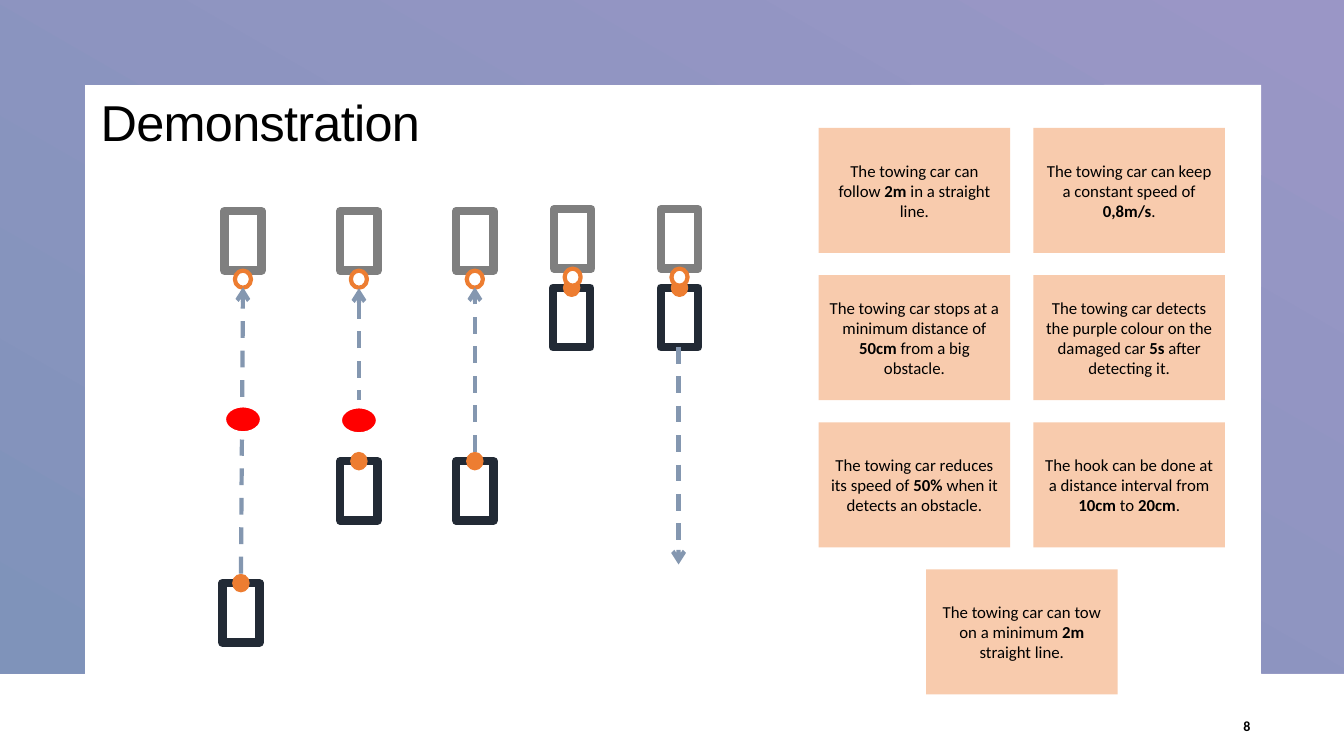
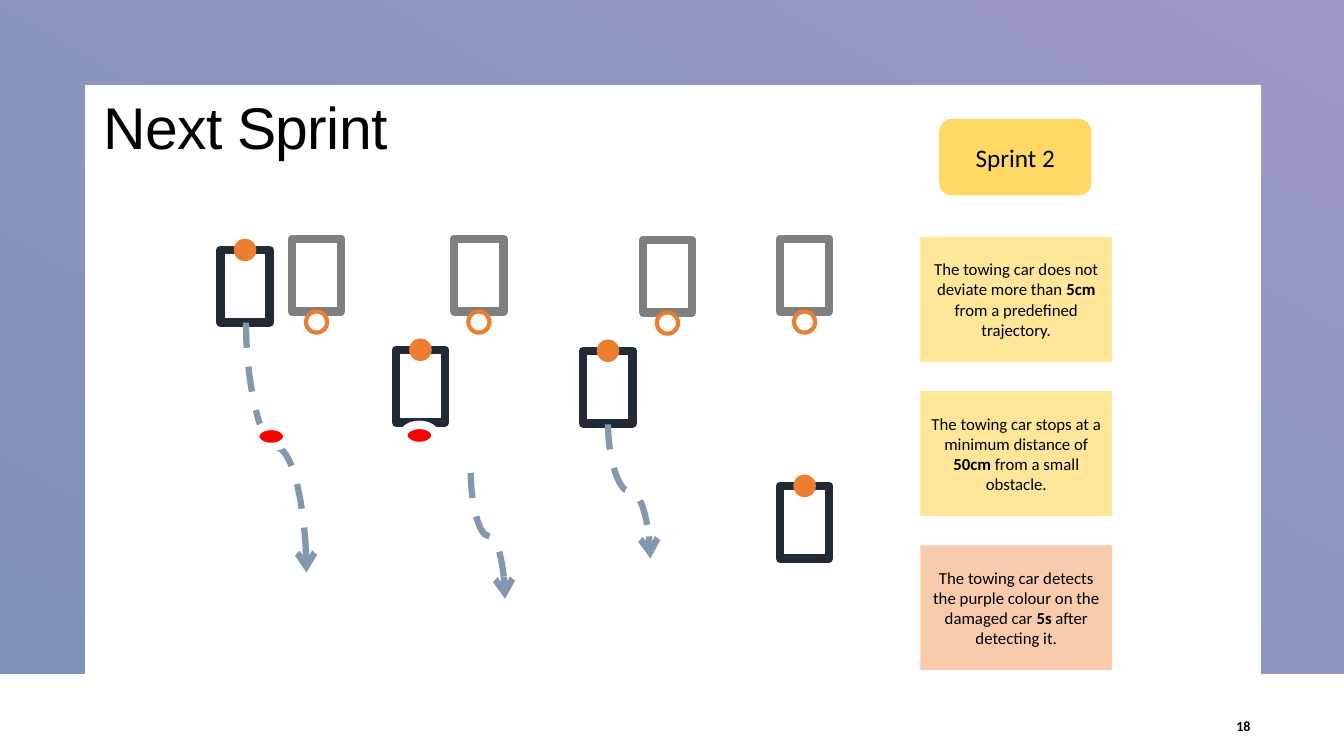
from dataclasses import dataclass

from lxml import etree
from pptx import Presentation
from pptx.dml.color import RGBColor
from pptx.enum import dml, shapes, text
from pptx.oxml import ns
from pptx.util import Inches, Pt


@dataclass(frozen=True)
class Theme:
    band_start: str = "9A96C6"
    band_end: str = "7F93BA"
    ink: str = "000000"
    white: str = "FFFFFF"
    towing: str = "222A35"
    damaged: str = "7F7F7F"
    hook: str = "ED7D31"
    obstacle: str = "FF0000"
    route: str = "8497B0"
    peach: str = "F8CBAD"
    cream: str = "FFE699"
    gold: str = "FFD966"
    title_font: str = "Arial"
    body_font: str = "Calibri"
    card_size: int = 12
    badge_size: int = 18
    number_size: int = 10
    outline: int = 6
    ring: int = 3


theme = Theme()
PRESET = shapes.MSO_SHAPE
CARD_WIDTH, CARD_HEIGHT = 1.9, 1.24


def add_figure(page, preset, center, size, fill=None, line=None, weight=1):
    """Draw a preset shape around its center; lengths are in inches."""
    (x, y), (width, height) = center, size
    figure = page.shapes.add_shape(
        preset, Inches(x - width / 2), Inches(y - height / 2), Inches(width), Inches(height))
    figure.shadow.inherit = False
    for paint, color in ((figure.fill, fill), (figure.line.fill, line)):
        if color:
            paint.solid()
            paint.fore_color.rgb = RGBColor.from_string(color)
        else:
            paint.background()
    if line:
        figure.line.width = Pt(weight)
    return figure


def write(box, words, size, font=theme.body_font, align="CENTER", anchor="MIDDLE", bold=False):
    """Fill a box with one paragraph; words between asterisks turn bold."""
    frame = box.text_frame
    frame.word_wrap = True
    frame.vertical_anchor = text.MSO_ANCHOR[anchor]
    para = frame.paragraphs[0]
    para.alignment = text.PP_ALIGN[align]
    for index, part in enumerate(words.split("*")):
        span = para.add_run()
        span.text = part
        look = {"name": font, "size": Pt(size), "bold": bold or index % 2 == 1}
        for key, value in look.items():
            setattr(span.font, key, value)
        span.font.color.rgb = RGBColor.from_string(theme.ink)
    return para


detect_card = "The towing car detects the purple colour on the damaged car *5s* after detecting it."

# Cars, obstacles and cards are placed by center; routes run from start to end.
slides = [
    {
        "title": "Demonstration", "title_size": 36, "title_left": 0.9, "number": "8",
        "car": (0.37, 0.59), "hook": (0.16, 0.17), "obstacle": (0.42, 0.32),
        "towing": [(2.39, 6.08), (3.56, 4.87), (4.71, 4.87), (5.67, 3.15), (6.74, 3.15)],
        "damaged": [(2.41, 2.39), (3.56, 2.39), (4.71, 2.39), (5.68, 2.37), (6.74, 2.37)],
        "obstacles": [(2.41, 4.16), (3.56, 4.17)],
        "curved": False, "route_weight": 3,
        "routes": [((2.39, 5.69), (2.41, 2.85)), ((3.56, 4.33), (3.56, 2.86)),
                   ((4.71, 4.48), (4.71, 2.85)), ((6.73, 3.44), (6.73, 5.6))],
        "badge": None,
        "card_origin": (9.07, 1.89), "card_step": (2.13, 1.46),
        "cards": [
            (0, 0, theme.peach, "The towing car can follow *2m* in a straight line."),
            (1, 0, theme.peach, "The towing car can keep a constant speed of *0,8m/s*."),
            (0, 1, theme.peach,
             "The towing car stops at a minimum distance of *50cm* from a big obstacle."),
            (1, 1, theme.peach, detect_card),
            (0, 2, theme.peach,
             "The towing car reduces its speed of *50%* when it detects an obstacle."),
            (1, 2, theme.peach,
             "The hook can be done at a distance interval from *10cm* to *20cm*."),
            (0.5, 3, theme.peach, "The towing car can tow on a minimum *2m* straight line."),
        ],
    },
    {
        "title": "Next Sprint", "title_size": 42, "title_left": 0.93, "number": "18",
        "car": (0.49, 0.72), "hook": (0.21, 0.21), "obstacle": (0.32, 0.21),
        "towing": [(2.43, 2.84), (4.17, 3.83), (6.03, 3.84), (7.98, 5.18)],
        "damaged": [(3.14, 2.73), (4.75, 2.73), (6.62, 2.74), (7.98, 2.73)],
        "obstacles": [(2.69, 4.33), (4.16, 4.32)],
        "curved": True, "route_weight": 4.5,
        "routes": [((2.44, 3.2), (3.04, 5.68)), ((4.67, 4.69), (5.01, 5.94)),
                   ((6.03, 4.21), (6.45, 5.54))],
        "badge": "Sprint 2",
        "card_origin": (10.08, 2.97), "card_step": (0, 1.53),
        "cards": [
            (0, 0, theme.cream,
             "The towing car does not deviate more than *5cm* from a predefined trajectory."),
            (0, 1, theme.cream,
             "The towing car stops at a minimum distance of *50cm* from a small obstacle."),
            (0, 2, theme.peach, detect_card),
        ],
    },
]

band_outline = [(0, 0), (13.33, 0), (13.33, 6.68), (12.51, 6.68),
                (12.51, 0.84), (0.84, 0.84), (0.84, 6.68), (0, 6.68)]

deck = Presentation()
deck.slide_width, deck.slide_height = Inches(13.33), Inches(7.5)

for slide in slides:
    page = deck.slides.add_slide(deck.slide_layouts[6])

    # Gradient band around the white panel
    corners = [(Inches(x), Inches(y)) for x, y in band_outline]
    builder = page.shapes.build_freeform(*corners[0])
    builder.add_line_segments(corners[1:], close=True)
    band = builder.convert_to_shape()
    band.shadow.inherit = False
    band.line.fill.background()
    band.fill.gradient()
    band.fill.gradient_angle = 240
    for stop, color in zip(band.fill.gradient_stops, (theme.band_start, theme.band_end)):
        stop.color.rgb = RGBColor.from_string(color)

    # Title and page number
    title = page.shapes.add_textbox(
        Inches(slide["title_left"]), Inches(0.9), Inches(10), Inches(1.47))
    para = write(title, slide["title"], slide["title_size"], theme.title_font, "LEFT", "TOP")
    para.line_spacing = 0.95
    para.runs[0].font._element.set("spc", "-50")
    number = page.shapes.add_textbox(Inches(11.92), Inches(7), Inches(0.58), Inches(0.4))
    write(number, slide["number"], theme.number_size, align="RIGHT", bold=True)

    # Towing cars carry a disc on the front edge, damaged cars a ring behind the rear edge
    half_car, half_hook = slide["car"][1] / 2, slide["hook"][1] / 2
    for role, shift, fill, weight in (
            ("towing", -half_car, theme.hook, 1),
            ("damaged", half_car + half_hook, theme.white, theme.ring)):
        for x, y in slide[role]:
            add_figure(page, PRESET.RECTANGLE, (x, y), slide["car"],
                       line=getattr(theme, role), weight=theme.outline)
            add_figure(page, PRESET.OVAL, (x, y + shift), slide["hook"],
                       fill, theme.hook, weight)

    # Dashed routes; a curve that leaves downwards is a sideways curve turned by 270 degrees
    for (x1, y1), (x2, y2) in slide["routes"]:
        kind = shapes.MSO_CONNECTOR.STRAIGHT
        ends = (x1, y1, x2, y2)
        if slide["curved"]:
            kind = shapes.MSO_CONNECTOR.CURVE
            middle_x, middle_y = (x1 + x2) / 2, (y1 + y2) / 2
            half_x, half_y = (x2 - x1) / 2, (y2 - y1) / 2
            ends = (middle_x + half_y, middle_y - half_x, middle_x - half_y, middle_y + half_x)
        route = page.shapes.add_connector(kind, *(Inches(value) for value in ends))
        if slide["curved"]:
            route.rotation = 270
        route.line.color.rgb = RGBColor.from_string(theme.route)
        route.line.width = Pt(slide["route_weight"])
        route.line.dash_style = dml.MSO_LINE.DASH
        etree.SubElement(route.line._get_or_add_ln(), ns.qn("a:tailEnd"), type="arrow")
        etree.SubElement(route._element.spPr, ns.qn("a:effectLst"))

    for center in slide["obstacles"]:
        add_figure(page, PRESET.OVAL, center, slide["obstacle"],
                   theme.obstacle, theme.white, theme.outline)

    # Badge and requirement cards
    if slide["badge"]:
        badge = add_figure(page, PRESET.ROUNDED_RECTANGLE, (10.07, 1.56), (1.51, 0.76), theme.gold)
        write(badge, slide["badge"], theme.badge_size)
    (left, top), (step_x, step_y) = slide["card_origin"], slide["card_step"]
    for column, row, color, words in slide["cards"]:
        card = add_figure(page, PRESET.RECTANGLE, (left + column * step_x, top + row * step_y),
                          (CARD_WIDTH, CARD_HEIGHT), color)
        write(card, words, theme.card_size)

deck.save("out.pptx")
